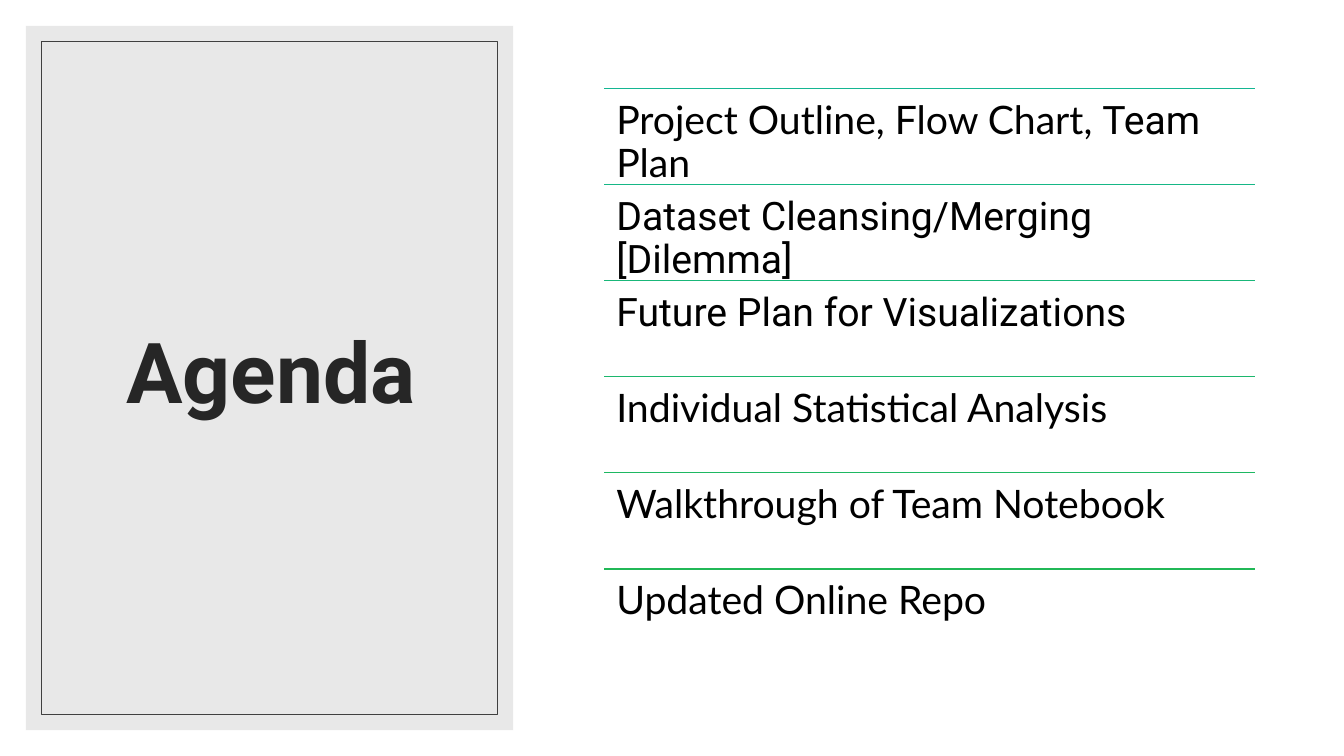
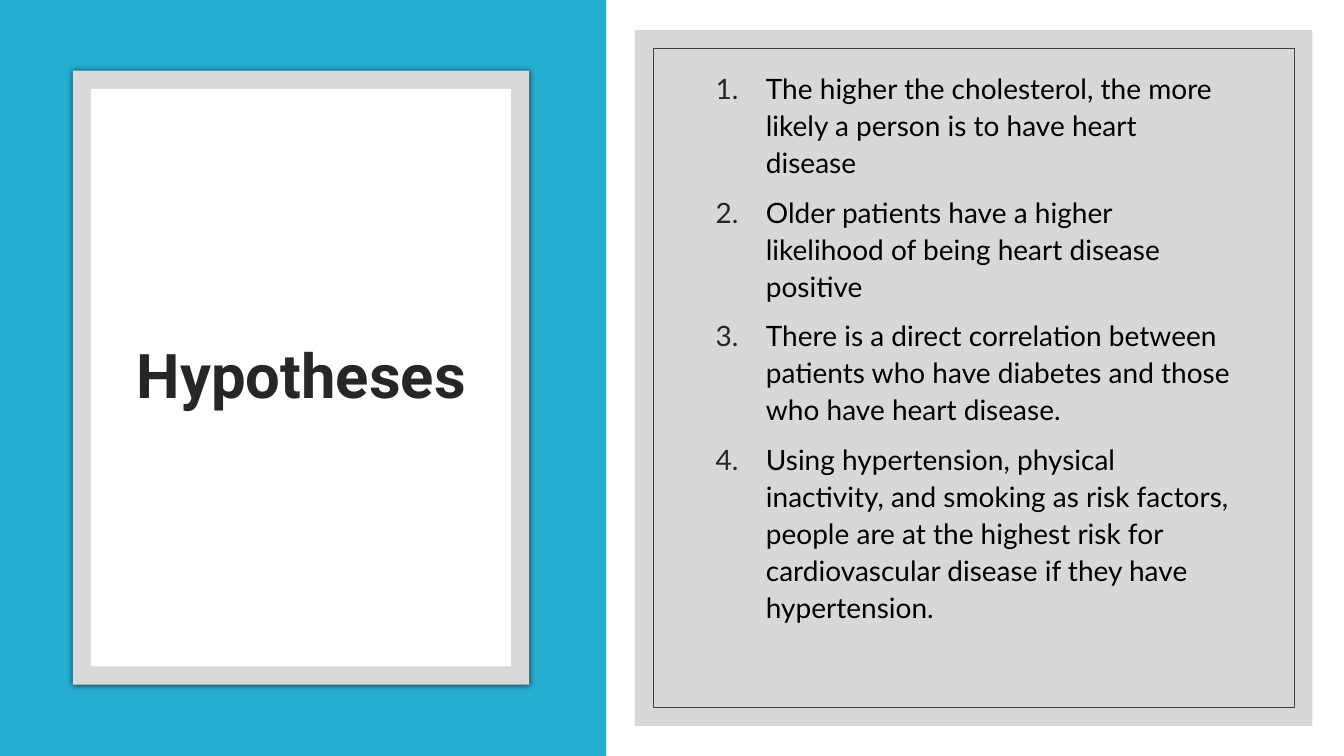
from dataclasses import dataclass

from lxml.etree import SubElement
from pptx import Presentation
from pptx.dml.color import RGBColor
from pptx.enum.shapes import MSO_CONNECTOR, MSO_SHAPE
from pptx.enum.text import MSO_ANCHOR, MSO_AUTO_SIZE, PP_ALIGN
from pptx.oxml.ns import qn
from pptx.util import Pt


@dataclass(frozen=True)
class Theme:
    head: str = "Roboto"
    body: str = "Lato"
    ink: str = "000000"
    dark: str = "262626"
    frame: str = "404040"
    white: str = "FFFFFF"
    pale: str = "D9D9D9"
    grey: str = "BFBFBF"
    blue: str = "25AECF"
    rules: tuple = ("14B692", "16B786", "19B779", "1CB76D", "1EB862", "21B857")
    large: int = 60
    title: int = 44
    row: int = 28
    list: int = 20


THEME = Theme()

AGENDA = [
    [("Project Outline, Flow Chart, ", THEME.body), ("Team", THEME.head), (" Plan", THEME.body)],
    [("Dataset Cleansing/Merging [Dilemma]", THEME.head)],
    [("Future Plan for Visualizations", THEME.head)],
    [("Individual Statistical Analysis", THEME.body)],
    [("Walkthrough of Team Notebook", THEME.body)],
    [("Updated Online Repo", THEME.body)],
]

CLAIMS = [
    "The higher the cholesterol, the more likely a person is to have heart disease",
    "Older patients have a higher likelihood of being heart disease positive",
    "There is a direct correlation between patients who have diabetes and those "
    "who have heart disease.",
    "Using hypertension, physical inactivity, and smoking as risk factors, people are "
    "at the highest risk for cardiovascular disease if they have hypertension.",
]


def color(code):
    return RGBColor.from_string(code)


def points(box):
    return [Pt(value) for value in box]


def inset(box, gap):
    left, top, width, height = box
    return left + gap, top + gap, width - 2 * gap, height - 2 * gap


def number(para, indent):
    props = para._p.get_or_add_pPr()
    props.set("marL", str(Pt(indent)))
    props.set("indent", str(-Pt(indent)))
    tint = SubElement(props, qn("a:buClr"))
    SubElement(tint, qn("a:srgbClr"), val=THEME.dark)
    SubElement(props, qn("a:buAutoNum"), type="arabicPeriod")


def write(shape, paras, size, ink=THEME.ink, bold=False, align=PP_ALIGN.LEFT,
          anchor=MSO_ANCHOR.TOP, spacing=0.9, before=0, pad=None, indent=0):
    frame = shape.text_frame
    frame.word_wrap = True
    frame.auto_size = MSO_AUTO_SIZE.NONE
    frame.vertical_anchor = anchor
    if pad is not None:
        frame.margin_left = frame.margin_right = Pt(pad)
        frame.margin_top = frame.margin_bottom = Pt(pad)
    for index, runs in enumerate(paras):
        para = frame.add_paragraph() if index else frame.paragraphs[0]
        para.alignment = align
        para.line_spacing = spacing
        para.space_before = Pt(before)
        if indent:
            number(para, indent)
        for text, face in runs:
            run = para.add_run()
            run.text = text
            run.font.name = face
            run.font.size = Pt(size)
            run.font.bold = bold
            run.font.color.rgb = color(ink)


def panel(slide, box, fill=None, line=None, alpha=100, glow=False):
    shape = slide.shapes.add_shape(MSO_SHAPE.RECTANGLE, *points(box))
    shape.shadow.inherit = False
    if fill:
        shape.fill.solid()
        shape.fill.fore_color.rgb = color(fill)
    else:
        shape.fill.background()
    if line:
        shape.line.color.rgb = color(line)
        shape.line.width = Pt(0.5)
    else:
        shape.line.fill.background()
    props = shape._element.spPr
    if alpha < 100:
        tint = props.find(qn("a:solidFill")).find(qn("a:srgbClr"))
        SubElement(tint, qn("a:alpha"), val=str(alpha * 1000))
    if glow:
        effect = props.find(qn("a:effectLst"))
        shade = SubElement(effect, qn("a:outerShdw"), blurRad=str(Pt(4)), dist="0")
        tint = SubElement(shade, qn("a:srgbClr"), val=THEME.ink)
        SubElement(tint, qn("a:alpha"), val="66000")


def framed(slide, box, gap, fill):
    panel(slide, box, fill=fill, alpha=60)
    panel(slide, inset(box, gap), line=THEME.frame)


def rule(slide, left, top, width, tint):
    line = slide.shapes.add_connector(
        MSO_CONNECTOR.STRAIGHT, *points((left, top, left + width, top)))
    line.line.color.rgb = color(tint)
    line.line.width = Pt(1)
    SubElement(line._element.spPr, qn("a:effectLst"))


def title(slide, text, box, size):
    shape = slide.shapes.title
    shape.left, shape.top, shape.width, shape.height = points(box)
    slide.shapes._spTree.append(shape._element)
    write(shape, [[(text, THEME.head)]], size, ink=THEME.dark, bold=True,
          align=PP_ALIGN.CENTER, anchor=MSO_ANCHOR.MIDDLE)


def rows(slide, items, left, top, width, pitch):
    for index, (runs, tint) in enumerate(zip(items, THEME.rules)):
        y = top + index * pitch
        rule(slide, left, y, width, tint)
        box = slide.shapes.add_textbox(*points((left, y, width, pitch)))
        write(box, [runs], THEME.row, pad=8.8)


def agenda(slide):
    framed(slide, (18.5, 18.5, 348, 503), 11, THEME.pale)
    title(slide, "Agenda", (45, 44, 297, 449), THEME.large)
    rows(slide, AGENDA, 431.5, 63.3, 465, 68.6)


def claims(slide):
    card = (52, 50.5, 326, 438.5)
    panel(slide, (0, 0, 433, 540), fill=THEME.blue)
    panel(slide, card, fill=THEME.pale, glow=True)
    panel(slide, inset(card, 13), fill=THEME.white)
    title(slide, "Hypotheses", (78, 93.5, 275, 353.5), THEME.title)
    framed(slide, (453.5, 21.5, 484, 497), 13, THEME.grey)
    box = slide.shapes.add_textbox(*points((504, 45.5, 384, 415)))
    write(box, [[(text, THEME.body)] for text in CLAIMS], THEME.list,
          spacing=1.1, before=9, indent=36)


def main():
    deck = Presentation()
    deck.slide_width, deck.slide_height = Pt(960), Pt(540)
    for build in (agenda, claims):
        build(deck.slides.add_slide(deck.slide_layouts[5]))
    deck.save("out.pptx")


if __name__ == "__main__":
    main()
